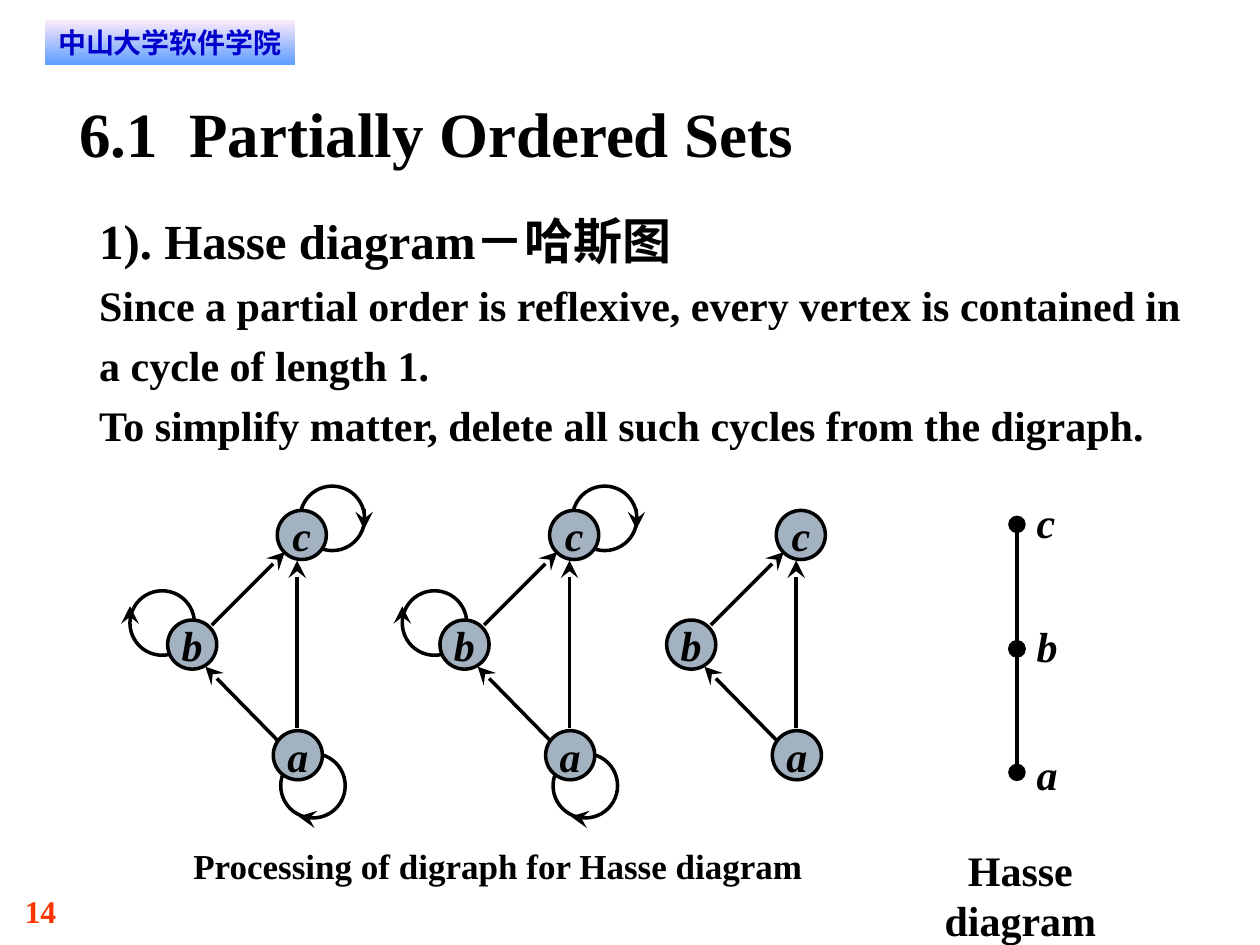
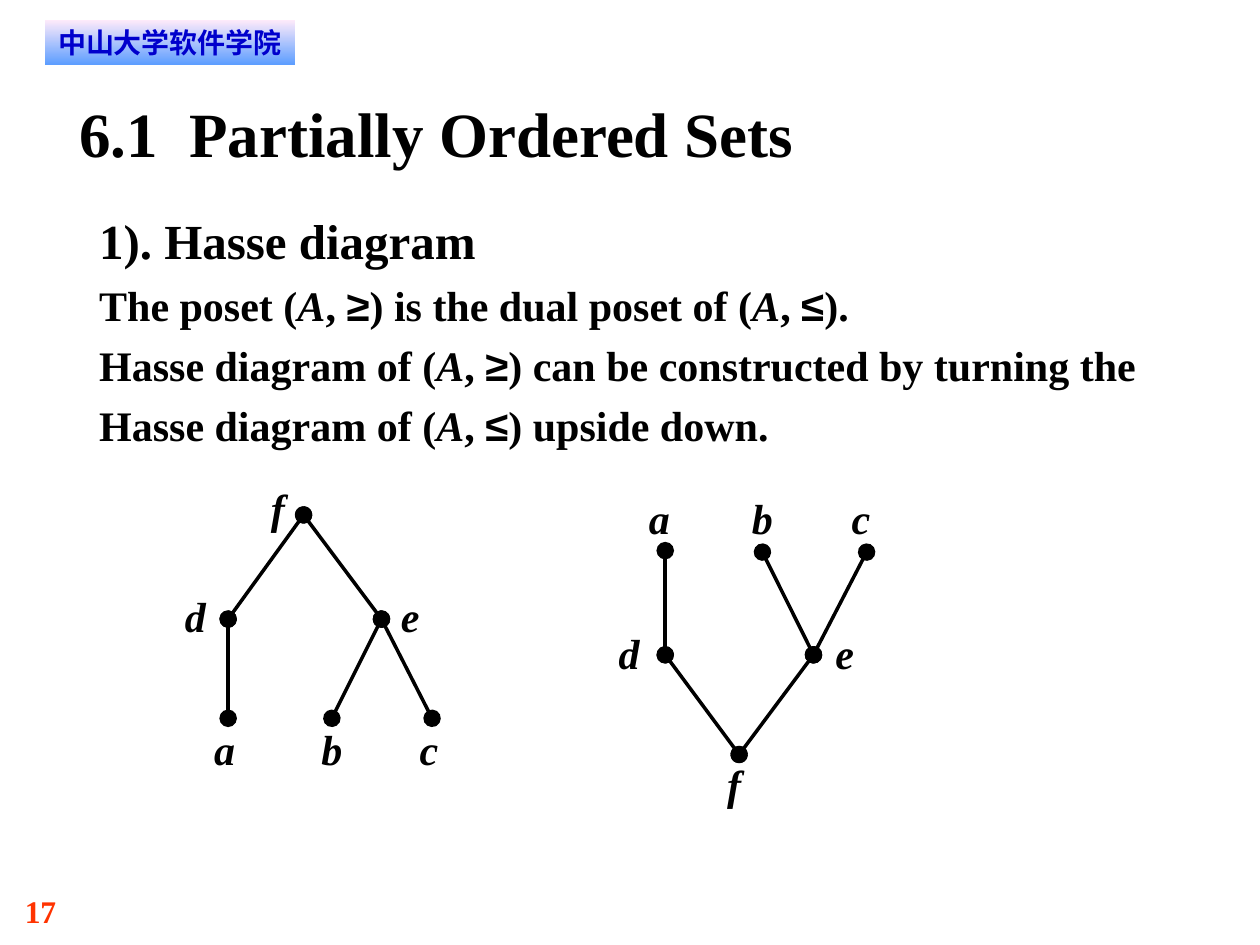
from lxml import etree
from pptx import Presentation
from pptx.dml.color import RGBColor
from pptx.enum.shapes import MSO_CONNECTOR as CONNECTOR, MSO_SHAPE as SHAPE
from pptx.enum.text import MSO_ANCHOR as ANCHOR, PP_ALIGN as ALIGN
from pptx.oxml.ns import qn
from pptx.util import Cm, Pt

BLACK = RGBColor(0x00, 0x00, 0x00)
NODE_GRAY = RGBColor(0xA3, 0xB2, 0xC1)
BADGE_TOP = RGBColor(0xFF, 0xEB, 0xFA)
BADGE_BOTTOM = RGBColor(0x5E, 0x9E, 0xFF)
BADGE_TEXT = RGBColor(0x00, 0x00, 0xCC)
PAGE_RED = RGBColor(0xFF, 0x33, 0x00)

SERIF = "Times New Roman"
LINE_WIDTH = Pt(2)
NODE_SIZE = 0.99
LOOP_SIZE = 1.3

BODY = {"name": SERIF, "size": Pt(24), "bold": True}
HEADING = {**BODY, "size": Pt(28)}
TITLE = {**BODY, "size": Pt(36)}
CAPTION = {**BODY, "size": Pt(20)}
LETTER = {**BODY, "italic": True}
SIGN = {**BODY, "name": "Arial"}
PAGE = {**BODY, "size": Pt(18)}
BADGE = {"name": "DejaVu Sans", "size": Pt(16), "bold": True}

NODES = {"b": (3.38, 12.5), "c": (5.59, 10.29), "a": (5.51, 14.73)}
ARROWS = [
    ((5.61, 14.94), (4.14, 13.44)),
    ((4.27, 12.6), (5.74, 11.13)),
    ((5.99, 14.68), (5.99, 11.3)),
]
LOOPS = [
    ((2.62, 11.91), ((2.62, 12.52), (2.62, 12.22))),
    ((6.05, 9.8), ((7.34, 10.26), (7.34, 10.67))),
    ((5.66, 15.19), ((6.32, 16.51), (6.02, 16.46))),
]

CHAIN = {
    "a": ((20.5, 15.57), (20.9, 15.09)),
    "b": ((20.5, 13.08), (20.9, 12.5)),
    "c": ((20.5, 10.57), (20.9, 10.01)),
}
POSET = {
    "a": ((4.6, 14.48), (4.32, 14.58)),
    "b": ((6.69, 14.48), (6.48, 14.58)),
    "c": ((8.71, 14.48), (8.46, 14.58)),
    "d": ((4.6, 12.48), (3.73, 11.91)),
    "e": ((7.69, 12.48), (8.08, 11.91)),
    "f": ((6.12, 10.38), (5.46, 9.73)),
}
DUAL_POSET = {
    "a": ((13.41, 11.1), (13.08, 9.93)),
    "b": ((15.37, 11.13), (15.16, 9.93)),
    "c": ((17.47, 11.13), (17.17, 9.93)),
    "d": ((13.41, 13.2), (12.47, 12.65)),
    "e": ((16.4, 13.2), (16.84, 12.65)),
    "f": ((14.9, 15.21), (14.66, 15.29)),
}
POSET_EDGES = ["ad", "be", "ce", "df", "ef"]


def add_runs(paragraph, runs, color=BLACK):
    for text, style in runs:
        run = paragraph.add_run()
        run.text = text
        for key, value in style.items():
            setattr(run.font, key, value)
        run.font.color.rgb = color


def clear_margins(frame):
    for side in ("left", "top", "right", "bottom"):
        setattr(frame, f"margin_{side}", 0)


def add_text(slide, box, paragraphs, color=BLACK, align=ALIGN.LEFT, spacing=None):
    frame = slide.shapes.add_textbox(*map(Cm, box)).text_frame
    frame.word_wrap = True
    clear_margins(frame)
    for index, runs in enumerate(paragraphs):
        paragraph = frame.add_paragraph() if index else frame.paragraphs[0]
        paragraph.alignment = align
        paragraph.line_spacing = spacing
        add_runs(paragraph, runs, color)
    return frame


def add_tab_stop(paragraph, position):
    stops = etree.SubElement(paragraph._p.get_or_add_pPr(), qn("a:tabLst"))
    etree.SubElement(stops, qn("a:tab"), pos=str(Cm(position)), algn="l")


def add_badge(slide):
    badge = slide.shapes.add_shape(
        SHAPE.RECTANGLE, Cm(0.9), Cm(0.4), Cm(5.05), Cm(0.9))
    badge.shadow.inherit = False
    badge.line.fill.background()
    badge.fill.gradient()
    badge.fill.gradient_angle = 270
    for stop, color, position in zip(
            badge.fill.gradient_stops, (BADGE_TOP, BADGE_BOTTOM), (0, 1)):
        stop.color.rgb = color
        stop.position = position
    clear_margins(badge.text_frame)
    paragraph = badge.text_frame.paragraphs[0]
    paragraph.alignment = ALIGN.CENTER
    add_runs(paragraph, [("中山大学软件学院", BADGE)], BADGE_TEXT)


def add_base_slide(presentation, number, paragraphs):
    slide = presentation.slides.add_slide(presentation.slide_layouts[6])
    add_text(slide, (0.5, 17.98, 1.9, 0.76), [[(number, PAGE)]], PAGE_RED)
    add_badge(slide)
    title = add_text(slide, (1.6, 1.9, 22.22, 1.52),
                     [[("6.1\tPartially Ordered Sets", TITLE)]])
    add_tab_stop(title.paragraphs[0], 2.22)
    add_text(slide, (2, 4, 22.25, 5.08), paragraphs, spacing=1.2)
    return slide


def add_line(slide, start, end, **ends):
    line = slide.shapes.add_connector(
        CONNECTOR.STRAIGHT, *map(Cm, (*start, *end)))
    line.line.color.rgb = BLACK
    line.line.width = LINE_WIDTH
    outline = line.line._get_or_add_ln()
    for tag, kind in ends.items():
        etree.SubElement(outline, qn(f"a:{tag}"), type=kind, w="lg", len="lg")
    etree.SubElement(line._element.spPr, qn("a:effectLst"))


def add_circle(slide, corner, size, fill=None):
    circle = slide.shapes.add_shape(
        SHAPE.OVAL, *map(Cm, (*corner, size, size)))
    circle.shadow.inherit = False
    circle.line.color.rgb = BLACK
    circle.line.width = LINE_WIDTH
    if fill is None:
        circle.fill.background()
    else:
        circle.fill.solid()
        circle.fill.fore_color.rgb = fill
    return circle


def add_node(slide, corner, letter):
    frame = add_circle(slide, corner, NODE_SIZE, NODE_GRAY).text_frame
    clear_margins(frame)
    frame.word_wrap = False
    frame.vertical_anchor = ANCHOR.MIDDLE
    frame.paragraphs[0].alignment = ALIGN.CENTER
    add_runs(frame.paragraphs[0], [(letter, LETTER)])


def add_digraph(slide, shift, loops=()):
    def moved(point):
        return point[0] + shift, point[1]

    for corner, (start, end) in loops:
        add_circle(slide, moved(corner), LOOP_SIZE)
        add_line(slide, moved(start), moved(end), tailEnd="stealth")
    for letter, corner in NODES.items():
        add_node(slide, moved(corner), letter)
    for start, end in ARROWS:
        add_line(slide, moved(start), moved(end), tailEnd="stealth")


def add_hasse_diagram(slide, vertices, edges):
    for lower, upper in edges:
        add_line(slide, vertices[lower][0], vertices[upper][0],
                 headEnd="oval", tailEnd="oval")
    for letter, (_, corner) in vertices.items():
        add_text(slide, (*corner, 0.44, 1.02), [[(letter, LETTER)]])


def ordered_set(sign):
    return [("A", LETTER), (", ", BODY), (sign, SIGN)]


def add_processing_slide(presentation):
    slide = add_base_slide(presentation, "14", [
        [("1). Hasse diagram－哈斯图", HEADING)],
        [("Since a partial order is reflexive, every vertex is contained in "
          "a cycle of length 1.", BODY)],
        [("To simplify matter, delete all such cycles from the digraph.", BODY)],
    ])
    for shift, loops in ((0, LOOPS), (5.49, LOOPS), (10.06, ())):
        add_digraph(slide, shift, loops)
    add_hasse_diagram(slide, CHAIN, ["ab", "bc"])
    for box, text, style in (
            ((3.39, 17.02, 13.3, 0.84),
             "Processing of digraph for Hasse diagram", CAPTION),
            ((17.88, 17.02, 5.38, 2.03), "Hasse diagram", BODY)):
        add_text(slide, box, [[(text, style)]], align=ALIGN.CENTER)


def add_dual_slide(presentation):
    slide = add_base_slide(presentation, "17", [
        [("1). Hasse diagram", HEADING)],
        [("The poset (", BODY), *ordered_set("≥"),
         (") is the dual poset of (", BODY), *ordered_set("≤"), (").", BODY)],
        [("Hasse diagram of (", BODY), *ordered_set("≥"),
         (") can be constructed by turning the Hasse diagram of (", BODY),
         *ordered_set("≤"), (") upside down.", BODY)],
    ])
    for vertices in (POSET, DUAL_POSET):
        add_hasse_diagram(slide, vertices, POSET_EDGES)


def main():
    presentation = Presentation()
    presentation.slide_width = Cm(25.4)
    presentation.slide_height = Cm(19.05)
    add_processing_slide(presentation)
    add_dual_slide(presentation)
    presentation.save("out.pptx")


if __name__ == "__main__":
    main()
